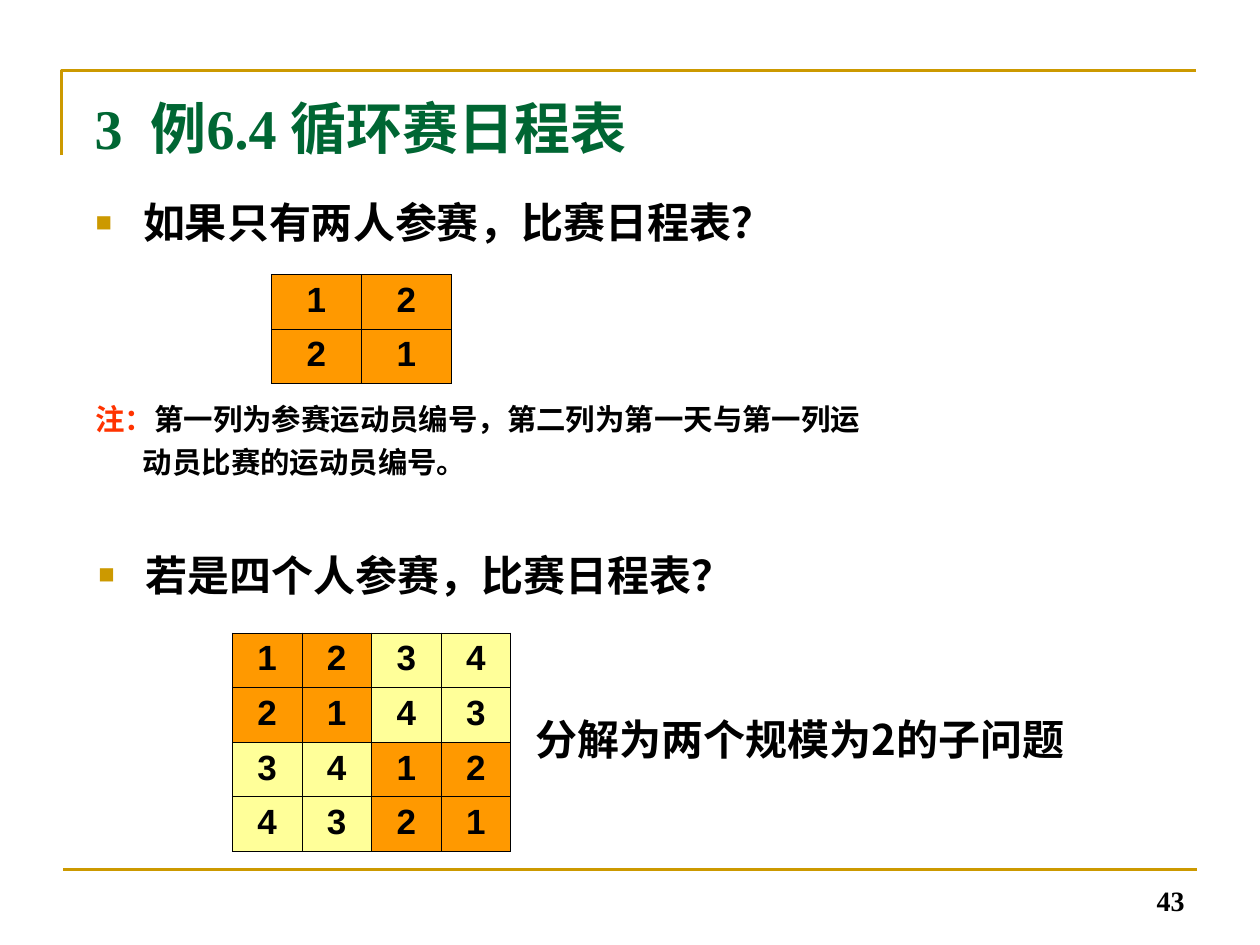
from dataclasses import dataclass

from lxml import etree
from pptx import Presentation
from pptx.dml.color import RGBColor
from pptx.enum import shapes, text
from pptx.oxml import ns
from pptx.util import Pt

GOLD, GREEN, BLACK, RED = "CC9900", "006633", "000000", "FF3300"
ORANGE, YELLOW = "FF9900", "FFFF99"
SANS, SERIF, CHINESE = "Arial", "Times New Roman", "Noto Sans CJK SC"
HANGING = 27


@dataclass
class Box:
    left: float
    top: float
    width: float
    height: float

    def lengths(self):
        return [Pt(value) for value in (self.left, self.top, self.width, self.height)]


@dataclass
class Question:
    wording: str
    box: Box


@dataclass
class Schedule:
    players: int
    left: float
    top: float
    column_width: float
    row_height: float = 31.2


QUESTIONS = [
    Question("如果只有两人参赛，比赛日程表？", Box(47.5, 105.8, 647.3, 51)),
    Question("若是四个人参赛，比赛日程表？", Box(49, 307.4, 647.3, 51)),
]
SCHEDULES = [Schedule(2, 155, 156.8, 51.5), Schedule(4, 132.7, 361.7, 39.8)]


def color(value: str) -> RGBColor:
    return RGBColor.from_string(value)


def add_element(parent, tag: str, **attributes: str):
    return etree.SubElement(parent, ns.qn(tag), attributes)


def write(paragraph, wording: str, *, size: float, font: str = SANS, fill: str = BLACK,
          align=text.PP_ALIGN.LEFT, spacing: float = 1.0, before: float = 0) -> None:
    paragraph.alignment = align
    paragraph.line_spacing = spacing
    paragraph.space_before = Pt(before)
    run = paragraph.add_run()
    run.text = wording
    run.font.size = Pt(size)
    run.font.bold = True
    run.font.color.rgb = color(fill)
    run.font.name = font
    add_element(run.font._element, "a:ea", typeface=CHINESE)


def set_indent(paragraph, margin: float, first: float) -> None:
    properties = paragraph._p.get_or_add_pPr()
    properties.set("marL", str(Pt(margin)))
    properties.set("indent", str(Pt(first)))


def prepare(shape, box: Box, anchor=text.MSO_ANCHOR.TOP):
    shape.left, shape.top, shape.width, shape.height = box.lengths()
    frame = shape.text_frame
    frame.word_wrap = True
    frame.auto_size = text.MSO_AUTO_SIZE.NONE
    frame.vertical_anchor = anchor
    return frame


def add_text_box(slide, box: Box, anchor=text.MSO_ANCHOR.TOP):
    return prepare(slide.shapes.add_textbox(*box.lengths()), box, anchor)


def add_rules(slide) -> None:
    builder = slide.shapes.build_freeform(Pt(35.3), Pt(88.6))
    builder.add_line_segments([(Pt(35.3), Pt(40.3)), (Pt(683.3), Pt(40.3))], close=False)
    corner = builder.convert_to_shape()
    corner.shadow.inherit = False
    corner.fill.background()
    footer = slide.shapes.add_connector(
        shapes.MSO_CONNECTOR.STRAIGHT, Pt(36), Pt(496.8), Pt(684), Pt(496.8))
    add_element(footer._element.spPr, "a:effectLst")
    for rule in (corner, footer):
        rule.line.color.rgb = color(GOLD)
        rule.line.width = Pt(1.5)


def add_title(slide) -> None:
    frame = prepare(slide.shapes.title, Box(46.8, 49.7, 648, 90))
    paragraph = frame.paragraphs[0]
    tabs = add_element(paragraph._p.get_or_add_pPr(), "a:tabLst")
    add_element(tabs, "a:tab", pos=str(Pt(32)), algn="l")
    write(paragraph, "3\t例6.4 循环赛日程表", size=32, font=SERIF, fill=GREEN)


def add_question(placeholder, question: Question) -> None:
    paragraph = prepare(placeholder, question.box).paragraphs[0]
    set_indent(paragraph, HANGING, -HANGING)
    properties = paragraph._p.get_or_add_pPr()
    add_element(add_element(properties, "a:buClr"), "a:srgbClr", val=GOLD)
    add_element(properties, "a:buSzPct", val="65000")
    add_element(properties, "a:buFont", typeface=SANS)
    add_element(properties, "a:buChar", char="■")
    write(paragraph, question.wording, size=24, spacing=1.1)


def add_borders(cell) -> None:
    properties = cell._tc.get_or_add_tcPr()
    for side in ("a:lnL", "a:lnR", "a:lnT", "a:lnB"):
        border = add_element(properties, side, w=str(Pt(0.45)))
        add_element(add_element(border, "a:solidFill"), "a:srgbClr", val=BLACK)


def add_schedule(slide, schedule: Schedule) -> None:
    count = schedule.players
    box = Box(schedule.left, schedule.top,
              schedule.column_width * count, schedule.row_height * count)
    table = slide.shapes.add_table(count, count, *box.lengths()).table
    table.first_row = table.horz_banding = False
    for index in range(count):
        table.columns[index].width = Pt(schedule.column_width)
        table.rows[index].height = Pt(schedule.row_height)
    for row in range(count):
        for column in range(count):
            cell = table.cell(row, column)
            add_borders(cell)
            cell.fill.solid()
            cell.fill.fore_color.rgb = color(ORANGE if row // 2 == column // 2 else YELLOW)
            write(cell.text_frame.paragraphs[0], str((row ^ column) + 1),
                  size=20, align=text.PP_ALIGN.CENTER)


def add_note(slide) -> None:
    frame = add_text_box(slide, Box(47.5, 228.2, 647.3, 51))
    first = frame.paragraphs[0]
    set_indent(first, HANGING, -HANGING)
    write(first, "注：", size=16.8, fill=RED, spacing=0.9)
    write(first, "第一列为参赛运动员编号，第二列为第一天与第一列运", size=16.8, spacing=0.9)
    second = frame.add_paragraph()
    set_indent(second, HANGING, 0)
    write(second, "动员比赛的运动员编号。", size=16.8, spacing=0.9, before=6)


def main() -> None:
    presentation = Presentation()
    presentation.slide_width, presentation.slide_height = Pt(720), Pt(540)
    slide = presentation.slides.add_slide(presentation.slide_layouts[3])
    add_rules(slide)
    add_title(slide)
    for index, question in enumerate(QUESTIONS, start=1):
        add_question(slide.placeholders[index], question)
    for schedule in SCHEDULES:
        add_schedule(slide, schedule)
    add_note(slide)
    remark = add_text_box(slide, Box(298.8, 403.9, 381.6, 36))
    write(remark.paragraphs[0], "分解为两个规模为2的子问题", size=24, font=CHINESE)
    number = add_text_box(slide, Box(516.2, 491.8, 167.8, 36), text.MSO_ANCHOR.BOTTOM)
    write(number.paragraphs[0], "43", size=16, font=SERIF, align=text.PP_ALIGN.RIGHT)
    presentation.save("out.pptx")


if __name__ == "__main__":
    main()
